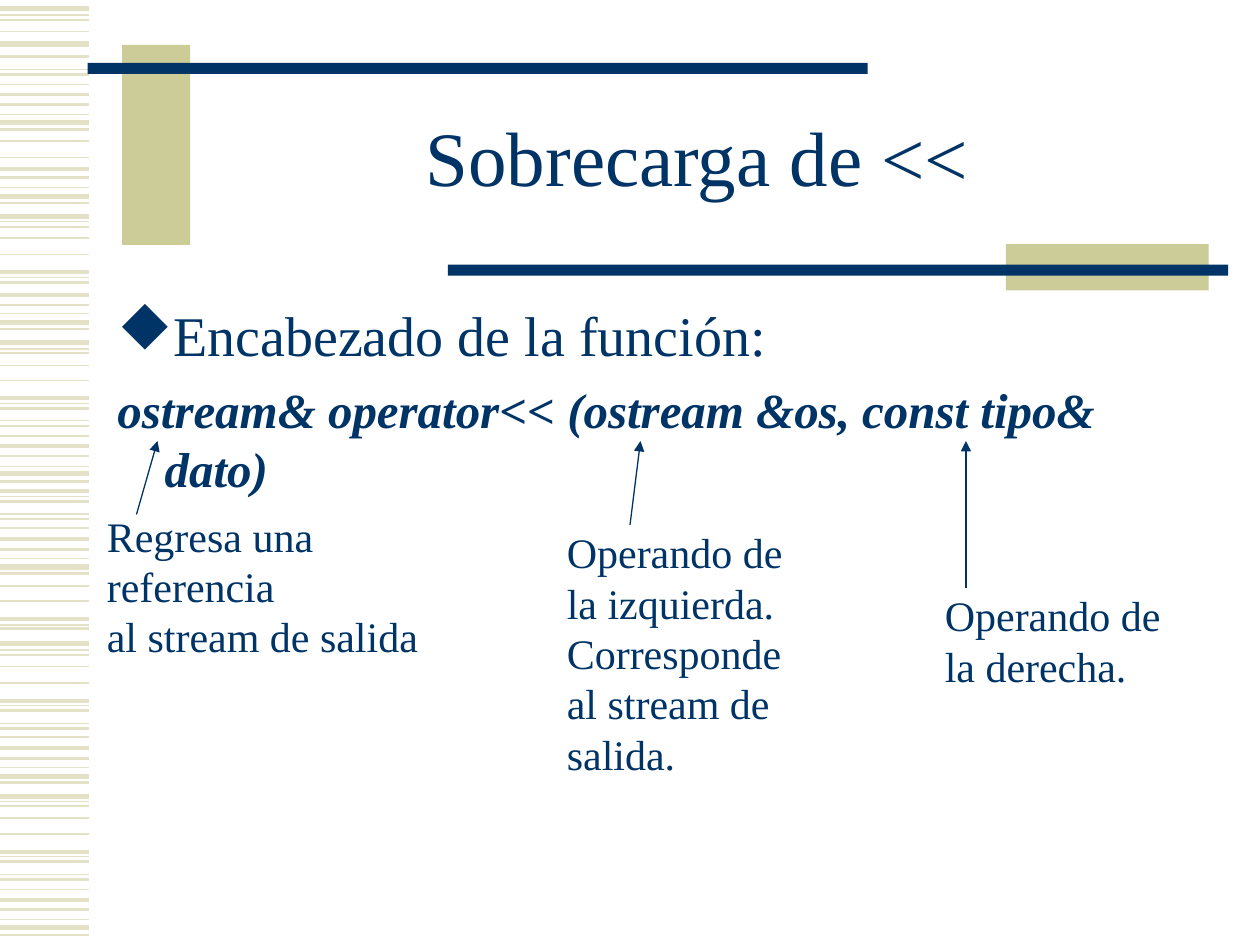
"""Build the slide that explains how operator<< is overloaded."""
from lxml import etree
from pptx import Presentation
from pptx import util as u
from pptx.dml.color import RGBColor
from pptx.enum import shapes, text
from pptx.oxml.ns import qn

Pt = u.Pt
COLORS = {"navy": "003366", "olive": "CCCC99", "stripe": "E3E2C7"}
FONT = "Times New Roman"

deck = Presentation()
deck.slide_width, deck.slide_height = Pt(720), Pt(540)
page = deck.slides.add_slide(deck.slide_layouts[6])


def add_line(x1, y1, x2, y2, color, weight):
    line = page.shapes.add_connector(
        shapes.MSO_CONNECTOR.STRAIGHT, Pt(x1), Pt(y1), Pt(x2), Pt(y2))
    line.line.color.rgb = RGBColor.from_string(COLORS[color])
    line.line.width = Pt(weight)
    etree.SubElement(line._element.spPr, qn("a:effectLst"))
    return line


def add_text(left, top, width, height, lines, size, wrap=True):
    box = page.shapes.add_textbox(Pt(left), Pt(top), Pt(width), Pt(height))
    frame = box.text_frame
    frame.word_wrap = wrap
    frame.text = "\n".join(lines)
    for para in frame.paragraphs:
        para.line_spacing = Pt(size * 1.2)
        para.font.name = FONT
        para.font.size = Pt(size)
        para.font.color.rgb = RGBColor.from_string(COLORS["navy"])
    return frame


stripe_hundredths = {
    0.75: [12, 55, 91, 149, 176, 220, 249, 277, 320, 334, 370, 394, 408, 443,
           496, 516, 560, 574, 609, 636, 680, 694, 730],
    1: [16, 25, 67, 112, 125, 180, 189, 202, 280, 290, 302, 346, 419, 465,
        477, 520, 529, 542, 585, 640, 649, 662, 706],
    1.5: [45, 59, 83, 103, 141, 161, 224, 242, 261, 324, 338, 362, 382, 398,
          412, 436, 455, 499, 564, 578, 602, 621, 684, 698, 722, 742],
    2.25: [75, 134, 216, 234, 316, 354, 390, 428, 491, 556, 594, 676, 714],
    3: [7, 35, 97, 156, 172, 256, 272, 376, 450, 511, 616, 632, 736],
}
for weight, heights in stripe_hundredths.items():
    for height in heights:
        y = height * 0.72
        add_line(0, y, 51, y, "stripe", weight)

bars = [
    (69.75, 25.75, 39, 114.25, "olive"),
    (50, 36, 445.75, 6.25, "navy"),
    (574.75, 139.5, 116, 26.5, "olive"),
    (256, 151.25, 445.75, 6.25, "navy"),
]
for left, top, width, height, color in bars:
    bar = page.shapes.add_shape(
        shapes.MSO_SHAPE.RECTANGLE, Pt(left), Pt(top), Pt(width), Pt(height))
    bar.shadow.inherit = False
    bar.fill.solid()
    bar.fill.fore_color.rgb = RGBColor.from_string(COLORS[color])
    bar.line.fill.background()

title = add_text(108, 48, 581, 90, ["Sobrecarga de <<"], 44)
title.vertical_anchor = text.MSO_ANCHOR.MIDDLE
title.paragraphs[0].alignment = text.PP_ALIGN.CENTER
title.paragraphs[0].line_spacing = 0.85

body = add_text(60, 168, 636, 324, [
    "Encabezado de la función:",
    "ostream& operator<< (ostream &os, const tipo& dato)"], 32)
heading, signature = body.paragraphs
for para in body.paragraphs:
    props = para._p.get_or_add_pPr()
    props.set("marL", str(Pt(27)))
    props.set("indent", str(Pt(-27)))
font_defaults = heading._p.pPr.find(qn("a:defRPr"))
font_defaults.addprevious(
    etree.Element(qn("a:buFont"), typeface="Wingdings", charset="2"))
font_defaults.addprevious(etree.Element(qn("a:buChar"), char="u"))
signature.space_before = Pt(7)
signature.line_spacing = Pt(33.6)
signature.font.size = Pt(28)
signature.font.bold = True
signature.font.italic = True

arrows = [(78, 294, 90, 252), (360, 300, 366, 252), (552, 336, 552, 252)]
for ends in arrows:
    arrow = add_line(*ends, "navy", 0.75)
    etree.SubElement(arrow.line._get_or_add_ln(), qn("a:tailEnd"), type="triangle")

callouts = [
    (54, 288, 194, 93.6, ["Regresa una", "referencia", "al stream de salida"]),
    (316.8, 297.4, 143.3, 151.2, ["Operando de", "la izquierda.", "Corresponde",
                                  "al stream de", "salida."]),
    (532.8, 333.4, 137.5, 93.6, ["Operando de", "la derecha."]),
]
for left, top, width, height, lines in callouts:
    note = add_text(left, top, width, height, lines, 24, wrap=False)
    note.auto_size = text.MSO_AUTO_SIZE.SHAPE_TO_FIT_TEXT

deck.save("out.pptx")
